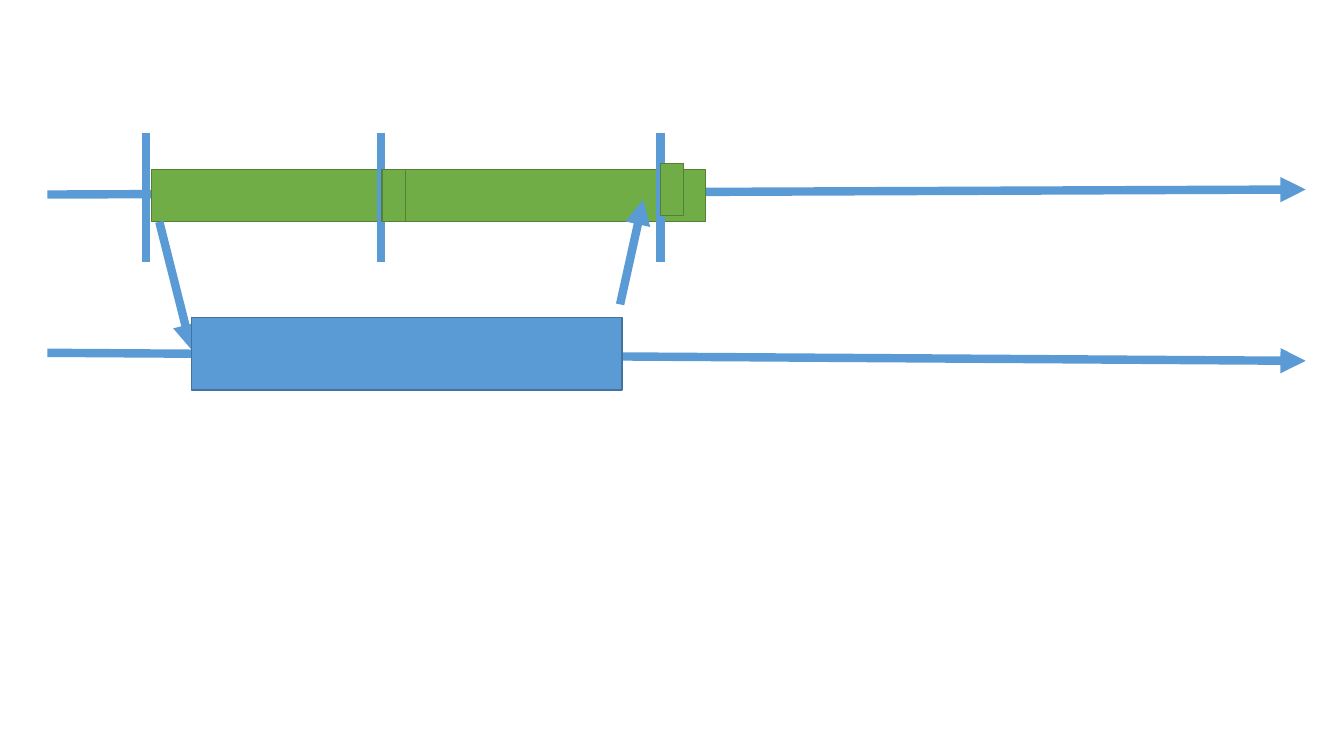
from dataclasses import dataclass

from lxml.etree import SubElement
from pptx import Presentation
from pptx.dml.color import RGBColor
from pptx.enum.shapes import MSO_CONNECTOR as Conn, MSO_SHAPE as Kind
from pptx.oxml.ns import qn
from pptx.util import Inches, Pt

COLORS = {
    "blue": "5B9BD5",
    "blue edge": "43739E",
    "green": "70AD47",
    "green edge": "538035",
}


@dataclass
class Line:
    x1: float
    y1: float
    x2: float
    y2: float
    arrow: bool = True


@dataclass
class Block:
    left: float
    top: float
    width: float
    height: float
    color: str = "green"


def get_rgb(name: str) -> RGBColor:
    return RGBColor.from_string(COLORS[name])


def draw_line(shapes, line: Line) -> None:
    ends = (line.x1, line.y1, line.x2, line.y2)
    item = shapes.add_connector(Conn.STRAIGHT, *map(Inches, ends))
    item.line.color.rgb = get_rgb("blue")
    item.line.width = Pt(6)
    if line.arrow:
        SubElement(item.line._get_or_add_ln(), qn("a:tailEnd"), type="triangle")
    SubElement(item._element.spPr, qn("a:effectLst"))


def draw_block(shapes, block: Block) -> None:
    area = (block.left, block.top, block.width, block.height)
    item = shapes.add_shape(Kind.RECTANGLE, *map(Inches, area))
    item.shadow.inherit = False
    item.fill.solid()
    item.fill.fore_color.rgb = get_rgb(block.color)
    item.line.color.rgb = get_rgb(block.color + " edge")
    item.line.width = Pt(1)


deck = Presentation()
deck.slide_width, deck.slide_height = Inches(13.33), Inches(7.5)
shapes = deck.slides.add_slide(deck.slide_layouts[6]).shapes

# Two time axes
START, END = 0.47, 12.95
draw_line(shapes, Line(START, 1.93, END, 1.88))
draw_line(shapes, Line(START, 3.5, END, 3.58))

# Upper task with its time marks
TALL = 0.52
draw_block(shapes, Block(1.5, 1.68, 5.5, TALL))
for x in (1.45, 3.78, 6.55):
    draw_line(shapes, Line(x, 1.32, x, 2.6, arrow=False))

# Short steps right after the later marks
for left, top in ((3.79, 1.68), (6.55, 1.62)):
    draw_block(shapes, Block(left, top, 0.23, TALL))

# Call down to the lower task and return
draw_line(shapes, Line(1.58, 2.2, 1.9, 3.47))
draw_block(shapes, Block(1.9, 3.15, 4.27, 0.72, "blue"))
draw_line(shapes, Line(6.15, 3.02, 6.38, 1.98))

deck.save("out.pptx")
